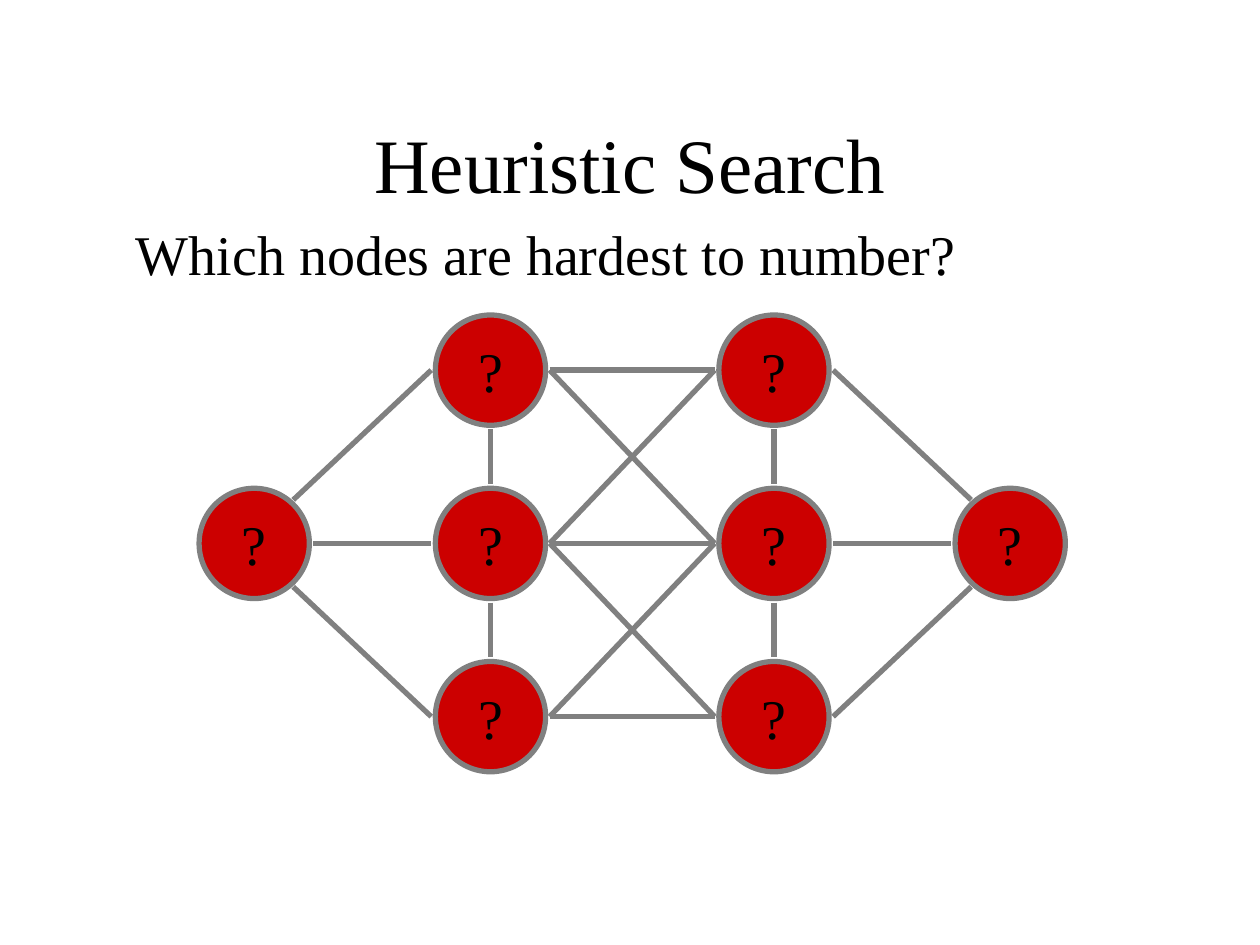
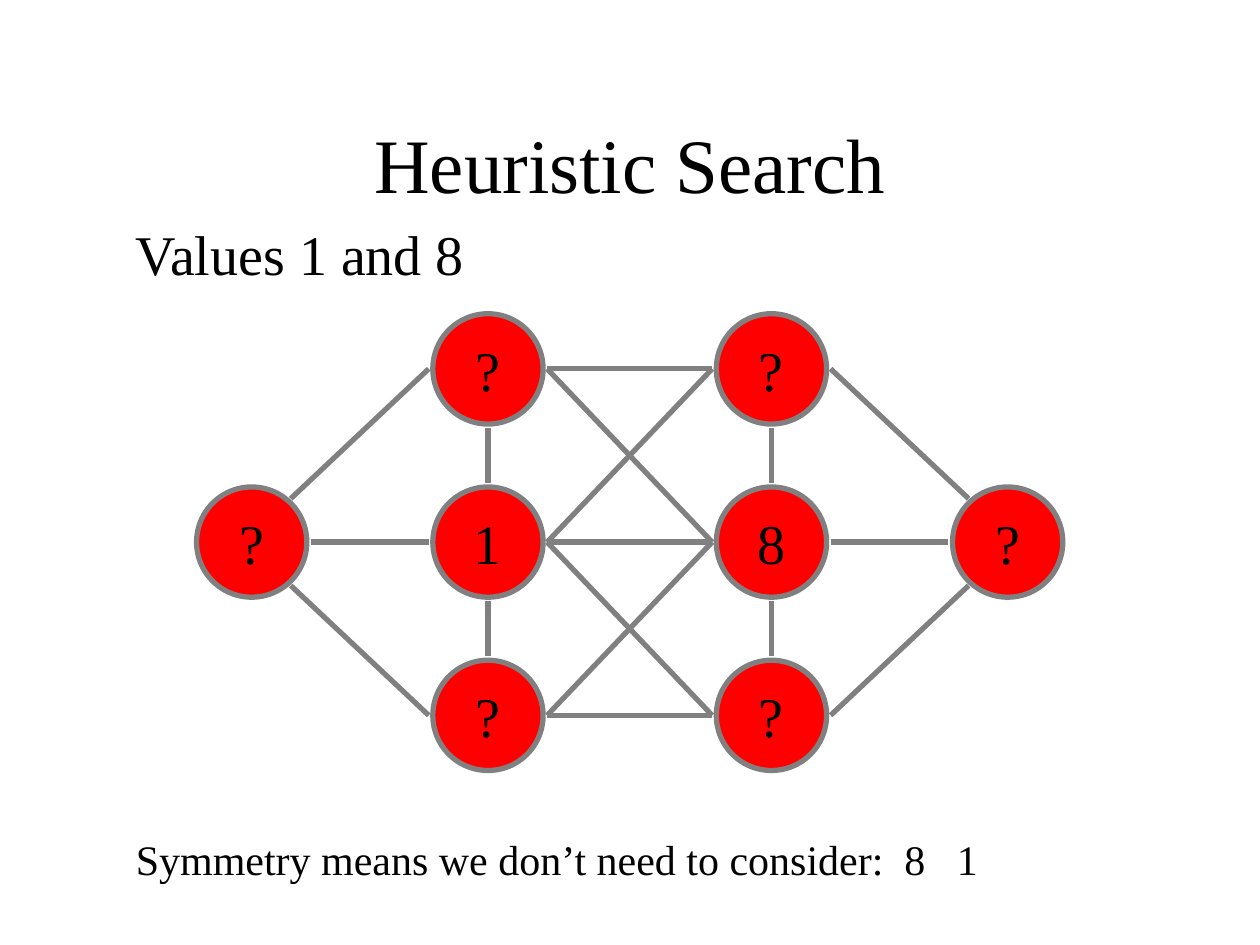
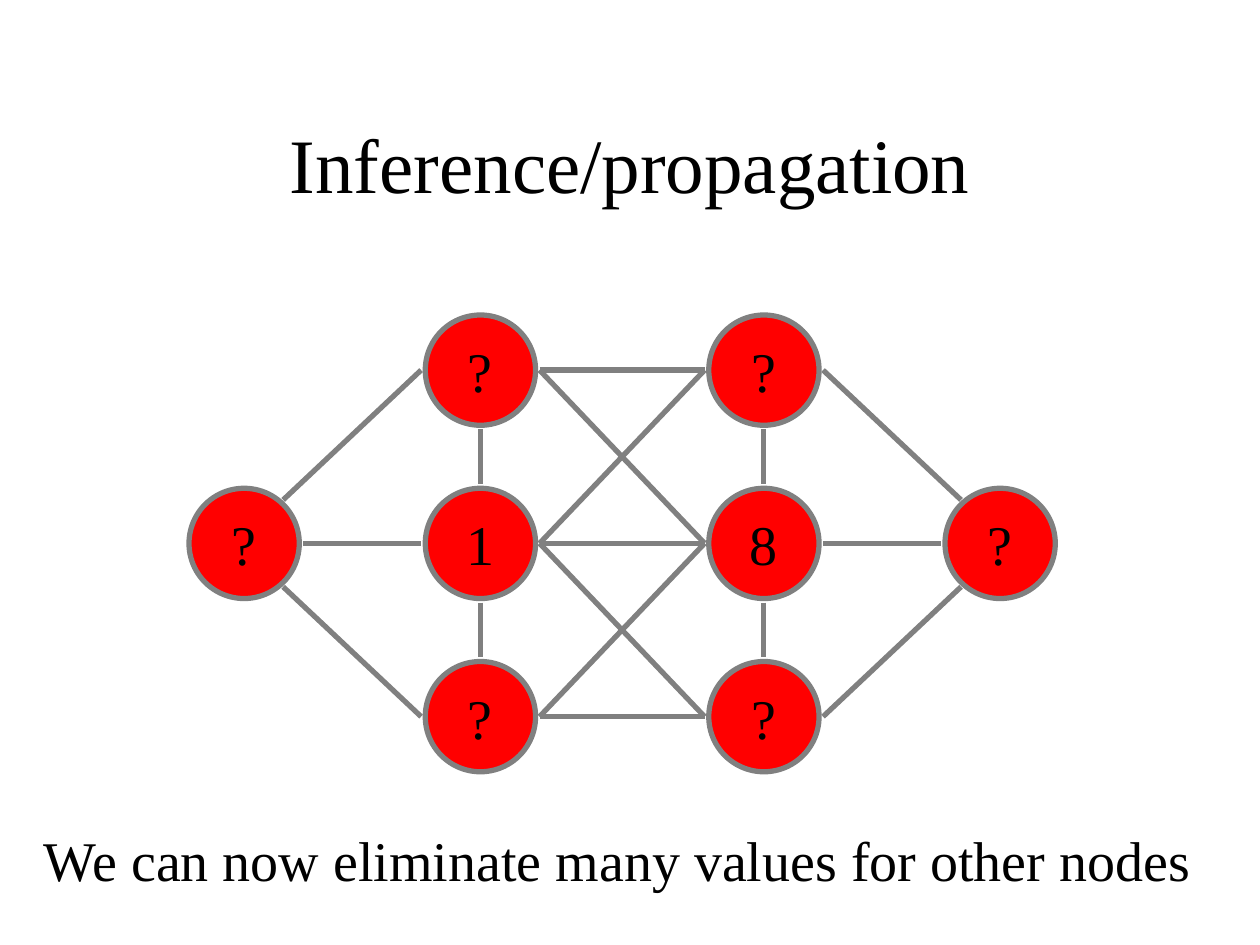
from itertools import product

from lxml.etree import SubElement
from pptx import Presentation
from pptx.dml.color import RGBColor as Rgb
from pptx.enum.shapes import MSO_CONNECTOR as Link, MSO_SHAPE as Shape
from pptx.enum.text import MSO_ANCHOR as Anchor, PP_ALIGN as Align
from pptx.oxml.ns import qn
from pptx.util import Inches, Pt

CELL = Inches(0.1)  # the slide is a grid of 100 by 75 cells
COLORS = {"ink": "000000", "edge": "808080", "dark": "CC0000", "red": "FF0000"}
FONT = "Times New Roman"
TITLE_BOX = (7.5, 6.7, 85, 12.5)
GRAPH_SIZE = (68.75, 36.25)
NODE = 8.75

# Node name: share of the graph's free width and height
NODES = {
    "a1": (5 / 16, 0), "a2": (5 / 16, 0.5), "a3": (5 / 16, 1),
    "b1": (11 / 16, 0), "b2": (11 / 16, 0.5), "b3": (11 / 16, 1),
    "end": (1, 0.5), "start": (0, 0.5),
}
# Where an edge leaves a node, in cells from the node's centre
PORTS = {
    "n": (0, -4.7), "s": (0, 4.7), "w": (-4.7, 0), "e": (4.7, 0),
    "ne": (3.1, -3.45), "se": (3.1, 3.45), "nw": (-3.1, -3.45), "sw": (-3.1, 3.45),
}


def list_edges():
    """Return (node, port, node, port) for every edge of the graph."""
    edges = []
    for row, left, right in zip("123", ("ne", "e", "se"), ("nw", "w", "sw")):
        edges.append(("start", left, "a" + row, "w"))
        edges.append(("b" + row, "e", "end", right))
    for i, j in product(range(1, 4), repeat=2):
        if abs(i - j) < 2:
            edges.append((f"a{i}", "e", f"b{j}", "w"))
    for col, i in product("ab", (1, 2)):
        edges.append((f"{col}{i}", "s", f"{col}{i + 1}", "n"))
    return edges


def cells(*sizes):
    return [round(size * CELL) for size in sizes]


def color(name):
    return Rgb.from_string(COLORS[name])


def write(frame, text, size, align=Align.LEFT, anchor=Anchor.TOP, wrap=True):
    frame.text = text
    frame.word_wrap = wrap
    frame.vertical_anchor = anchor
    for para in frame.paragraphs:
        para.alignment = align
        for run in para.runs:
            run.font.name = FONT
            run.font.size = Pt(size)
            run.font.color.rgb = color("ink")


def stroke(line):
    line.color.rgb = color("edge")
    line.width = Pt(3)


def add_title(slide, text):
    title = slide.shapes.title
    title.left, title.top, title.width, title.height = cells(*TITLE_BOX)
    write(title.text_frame, text, 44, Align.CENTER, Anchor.MIDDLE)


def add_note(slide, text, box, size=32, wrap=False):
    note = slide.shapes.add_textbox(*cells(*box))
    write(note.text_frame, text, size, wrap=wrap)


def add_node(shapes, mid, text, fill):
    x, y = mid
    node = shapes.add_shape(
        Shape.OVAL, *cells(x - NODE / 2, y - NODE / 2, NODE, NODE))
    node.shadow.inherit = False
    node.fill.solid()
    node.fill.fore_color.rgb = color(fill)
    stroke(node.line)
    write(node.text_frame, text, 32, Align.CENTER, Anchor.MIDDLE, wrap=False)


def add_edge(shapes, start, end):
    edge = shapes.add_connector(Link.STRAIGHT, *cells(*start, *end))
    stroke(edge.line)
    SubElement(edge._element.spPr, qn("a:effectLst"))


def add_graph(slide, left, top, fill, values):
    """Draw the nodes and edges; a node without a value shows a question mark."""
    wide, high = (size - NODE for size in GRAPH_SIZE)
    mids = {name: (left + NODE / 2 + x * wide, top + NODE / 2 + y * high)
            for name, (x, y) in NODES.items()}
    shapes = slide.shapes.add_group_shape().shapes
    for name, mid in mids.items():
        add_node(shapes, mid, values.get(name, "?"), fill)

    def port(name, side):
        return [mid + step for mid, step in zip(mids[name], PORTS[side])]

    for one, out, two, into in list_edges():
        add_edge(shapes, port(one, out), port(two, into))


def add_slide(deck, title, left, top, fill="red", values=None):
    slide = deck.slides.add_slide(deck.slide_layouts[5])
    add_title(slide, title)
    add_graph(slide, left, top, fill, values or {})
    return slide


def main():
    deck = Presentation()
    deck.slide_width, deck.slide_height = cells(100, 75)
    fixed = {"a2": "1", "b2": "8"}

    slide = add_slide(deck, "Heuristic Search", 15.8, 25, "dark")
    add_note(slide, "Which nodes are hardest to number?", (9.8, 16.9, 67.1, 6.3))

    slide = add_slide(deck, "Heuristic Search", 15.6, 24.9, values=fixed)
    add_note(slide, "Values 1 and 8", (9.8, 16.9, 28.6, 6.3))
    add_note(slide, "Symmetry means we don’t need to consider:  8   1",
             (9.8, 65.7, 69.7, 5), size=24)

    slide = add_slide(deck, "Inference/propagation", 15, 25, values=fixed)
    add_note(slide, "We can now eliminate many values for other nodes",
             (2.5, 65, 103.2, 6.3), wrap=True)

    deck.save("out.pptx")


if __name__ == "__main__":
    main()
